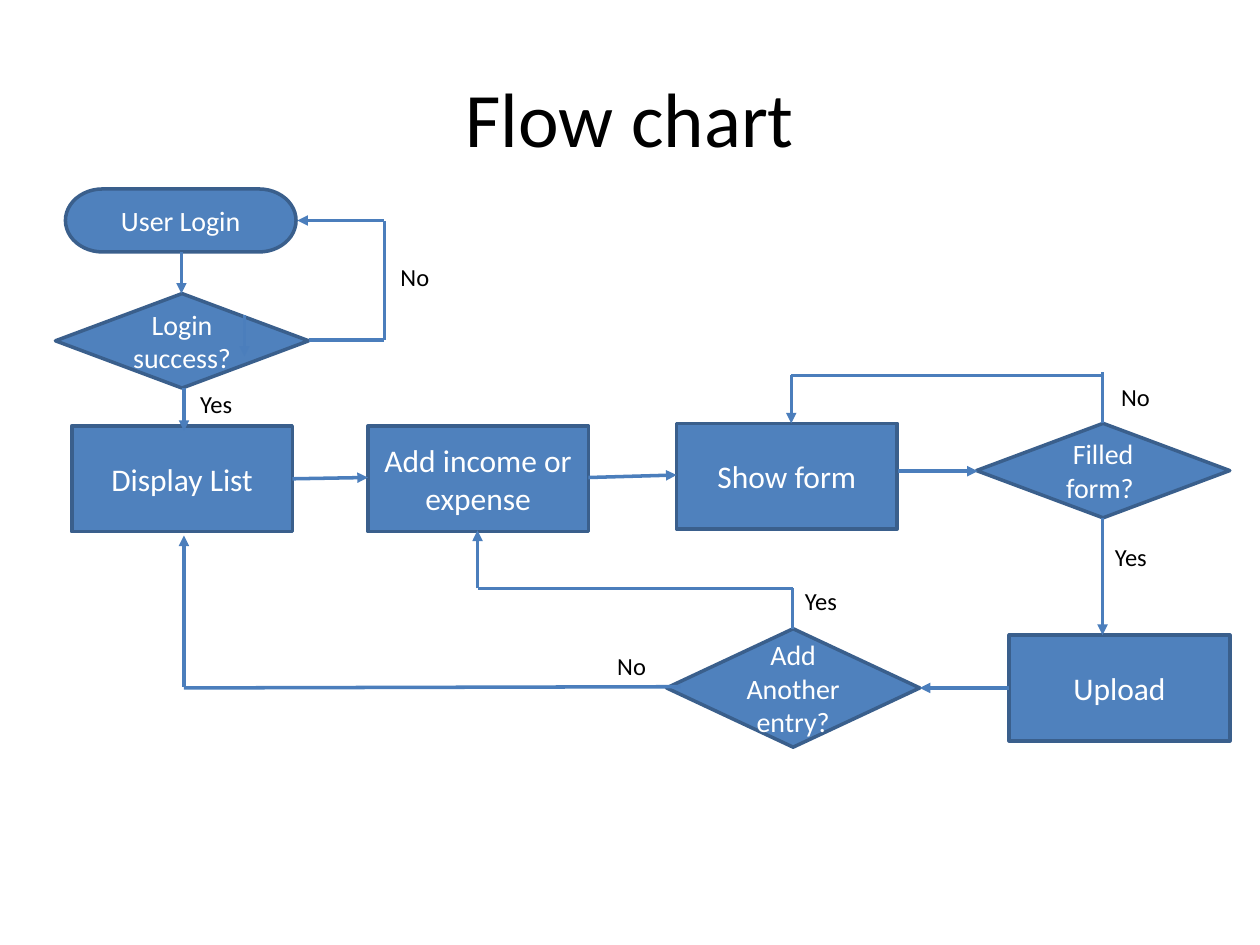
from dataclasses import dataclass
from itertools import pairwise

from lxml.etree import SubElement
from pptx import Presentation
from pptx.dml.color import RGBColor
from pptx.enum.shapes import MSO_CONNECTOR, MSO_SHAPE
from pptx.enum.text import MSO_ANCHOR, PP_ALIGN
from pptx.oxml.ns import qn
from pptx.util import Inches, Pt


@dataclass(frozen=True)
class Theme:
    font: str = "Calibri"
    fill: RGBColor = RGBColor(0x4F, 0x81, 0xBD)
    edge: RGBColor = RGBColor(0x3A, 0x5F, 0x8C)
    wire: RGBColor = RGBColor(0x4B, 0x7E, 0xBC)
    dark: RGBColor = RGBColor(0, 0, 0)
    light: RGBColor = RGBColor(255, 255, 255)
    title: int = 44
    step: int = 18
    check: int = 16
    label: int = 14
    stroke: int = 2


@dataclass(frozen=True)
class Node:
    text: str
    left: float
    top: float
    kind: MSO_SHAPE
    width: float
    height: float
    size: int


@dataclass(frozen=True)
class Label:
    text: str
    left: float
    top: float
    width: float = 0.48


@dataclass(frozen=True)
class Route:
    points: tuple[tuple[float, float], ...]
    arrow: bool = True


THEME = Theme()


def step(text: str, left: float, top: float) -> Node:
    return Node(text, left, top, MSO_SHAPE.FLOWCHART_PROCESS, 1.75, 0.84, THEME.step)


def check(text: str, left: float, top: float, height: float = 0.75) -> Node:
    return Node(text, left, top, MSO_SHAPE.FLOWCHART_DECISION, 2.01, height, THEME.check)


NODES = [
    Node("User Login", 0.52, 1.5, MSO_SHAPE.FLOWCHART_TERMINATOR, 1.83, 0.5, THEME.check),
    check("Filled form? ", 7.75, 3.36),
    step("Display List", 0.57, 3.38),
    step("Add income or expense", 2.92, 3.38),
    check("Login success?", 0.44, 2.33),
    step("Show form", 5.37, 3.36),
    step("Upload", 8.01, 5.04),
    check("Add Another entry?", 5.29, 4.99, 0.94),
]

ROUTES = [
    Route(((1.44, 2), (1.44, 2.33))),
    Route(((4.67, 3.79), (5.37, 3.77))),
    Route(((7.13, 3.74), (7.76, 3.74))),
    Route(((1.94, 2.5), (1.94, 2.83))),
    Route(((2.32, 3.8), (2.92, 3.79))),
    Route(((1.46, 3.08), (1.46, 3.42))),
    Route(((8.75, 4.11), (8.75, 5.04))),
    Route(((8.01, 5.46), (7.3, 5.46))),
    Route(((5.4, 5.45), (1.46, 5.46)), arrow=False),
    Route(((1.46, 5.45), (1.46, 4.25))),
    Route(((6.29, 4.99), (6.29, 4.67), (3.79, 4.67), (3.79, 4.21))),
    Route(((2.45, 2.7), (3.05, 2.7), (3.05, 1.75), (2.36, 1.75))),
    Route(((8.75, 3.36), (8.75, 2.95)), arrow=False),
    Route(((8.75, 2.98), (6.28, 2.98), (6.28, 3.36))),
]

LABELS = [
    Label("Yes", 8.75, 4.25, 0.96),
    Label("No", 8.8, 2.98, 0.96),
    Label("Yes", 1.49, 3.04),
    Label("No", 3.08, 2.03),
    Label("Yes", 6.29, 4.6, 0.62),
    Label("No", 4.8, 5.12),
]


def write(shape, text: str, *, size: int, color: RGBColor = THEME.dark,
          align: PP_ALIGN = PP_ALIGN.CENTER,
          anchor: MSO_ANCHOR = MSO_ANCHOR.MIDDLE) -> None:
    frame = shape.text_frame
    frame.word_wrap = True
    frame.vertical_anchor = anchor
    para = frame.paragraphs[0]
    para.alignment = align
    run = para.add_run()
    run.text = text
    run.font.name = THEME.font
    run.font.size = Pt(size)
    run.font.color.rgb = color


def draw_node(slide, node: Node) -> None:
    shape = slide.shapes.add_shape(
        node.kind, Inches(node.left), Inches(node.top),
        Inches(node.width), Inches(node.height))
    shape.shadow.inherit = False
    shape.fill.solid()
    shape.fill.fore_color.rgb = THEME.fill
    shape.line.color.rgb = THEME.edge
    shape.line.width = Pt(THEME.stroke)
    write(shape, node.text, size=node.size, color=THEME.light)


def draw_route(slide, route: Route) -> None:
    for start, end in pairwise(route.points):
        wire = slide.shapes.add_connector(
            MSO_CONNECTOR.STRAIGHT, *map(Inches, start + end))
        wire.line.color.rgb = THEME.wire
        wire.line.width = Pt(THEME.stroke)
        props = wire.element.spPr
        SubElement(props, qn("a:effectLst"))
        if route.arrow and end == route.points[-1]:
            SubElement(props.find(qn("a:ln")), qn("a:tailEnd"), type="triangle")


def draw_label(slide, label: Label) -> None:
    box = slide.shapes.add_textbox(
        Inches(label.left), Inches(label.top), Inches(label.width), Inches(0.34))
    write(box, label.text, size=THEME.label,
          align=PP_ALIGN.LEFT, anchor=MSO_ANCHOR.TOP)


def main() -> None:
    deck = Presentation()
    deck.slide_width, deck.slide_height = Inches(10), Inches(7.5)
    slide = deck.slides.add_slide(deck.slide_layouts[6])
    title = slide.shapes.add_textbox(Inches(0.5), Inches(0.3), Inches(9), Inches(1.25))
    write(title, "Flow chart", size=THEME.title)
    for node in NODES:
        draw_node(slide, node)
    for route in ROUTES:
        draw_route(slide, route)
    for label in LABELS:
        draw_label(slide, label)
    deck.save("out.pptx")


main()
